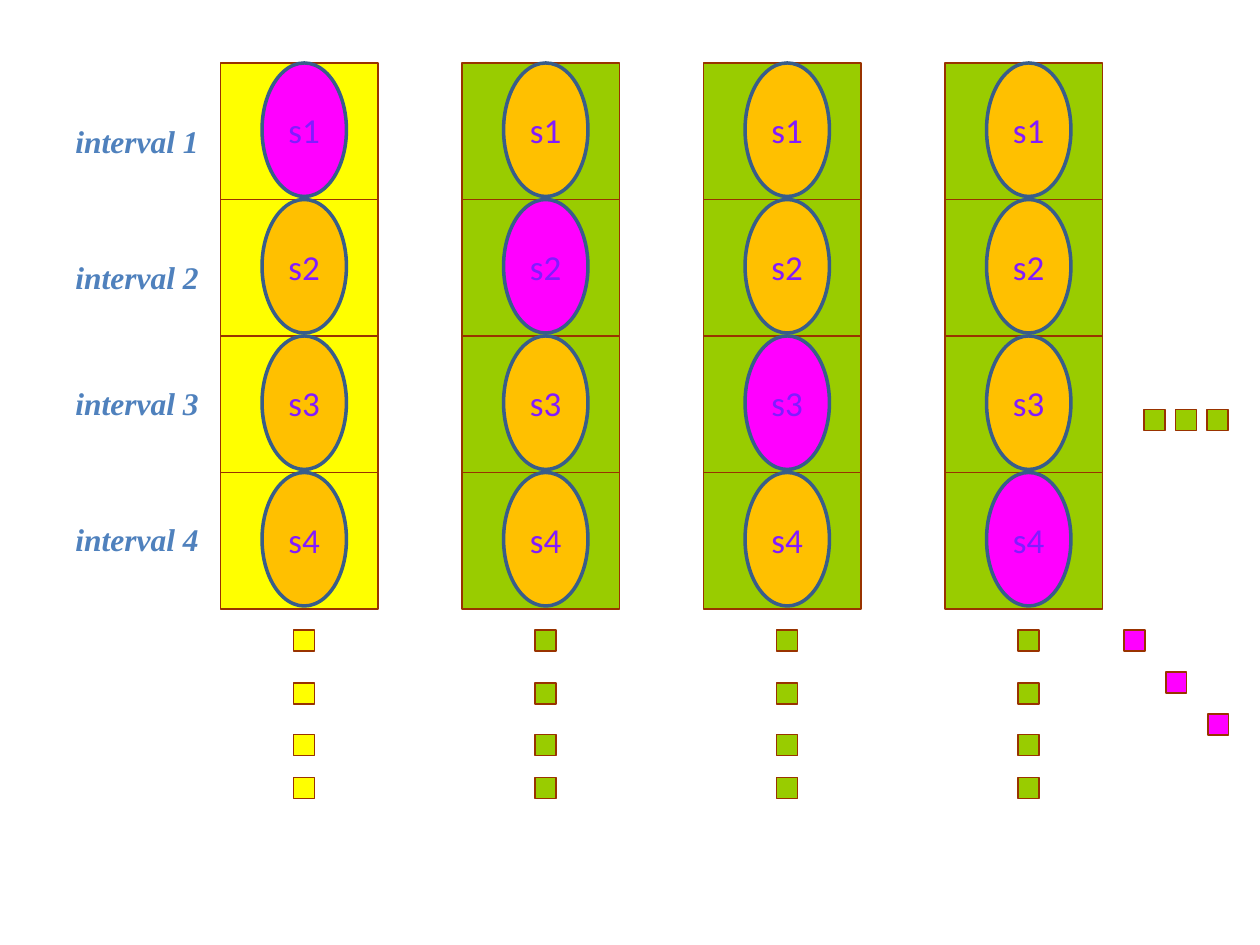
from dataclasses import dataclass

from pptx import Presentation
from pptx.dml.color import RGBColor
from pptx.enum import shapes, text
from pptx.shapes.autoshape import Shape
from pptx.slide import Slide
from pptx.util import Inches, Pt


@dataclass(frozen=True)
class Theme:
    first_column: str = "FFFF00"
    other_column: str = "99CC00"
    sample: str = "FFC000"
    chosen: str = "FF00FF"
    box_line: str = "993300"
    oval_line: str = "385D8A"
    sample_text: str = "821BFF"
    label_text: str = "4F81BD"
    sample_font: str = "Calibri"
    label_font: str = "Times New Roman"
    sample_size: int = 20
    label_size: int = 18


@dataclass(frozen=True)
class Area:
    left: float
    top: float
    width: float
    height: float


THEME = Theme()
COUNT = 4
GRID_LEFT, GRID_TOP = 1.75, 0.5
COLUMN_PITCH, ROW_PITCH = 23 / 12, 13 / 12
CELL_WIDTH = 1.25
OVAL_INSET, OVAL_WIDTH, OVAL_HEIGHT = 0.33, 0.67, 1.06
DOT_SIZE = 1 / 6
DOT_INSET = 0.58
DOT_TOPS = (5, 5.42, 5.83, 6.17)
LABEL_TOPS = (0.92, 2, 3, 4.08)


def add_figure(page: Slide, kind: shapes.MSO_SHAPE, area: Area, fill: str,
               line: str = THEME.box_line, weight: float = 0.75) -> Shape:
    figure = page.shapes.add_shape(
        kind, Inches(area.left), Inches(area.top), Inches(area.width), Inches(area.height)
    )
    figure.shadow.inherit = False
    figure.fill.solid()
    figure.fill.fore_color.rgb = RGBColor.from_string(fill)
    figure.line.color.rgb = RGBColor.from_string(line)
    figure.line.width = Pt(weight)
    return figure


def add_dot(page: Slide, left: float, top: float, fill: str) -> None:
    add_figure(page, shapes.MSO_SHAPE.RECTANGLE, Area(left, top, DOT_SIZE, DOT_SIZE), fill)


def add_sample(page: Slide, area: Area, words: str, fill: str) -> None:
    oval = add_figure(page, shapes.MSO_SHAPE.OVAL, area, fill, THEME.oval_line, 2)
    frame = oval.text_frame
    frame.word_wrap = False
    frame.vertical_anchor = text.MSO_ANCHOR.MIDDLE
    para = frame.paragraphs[0]
    para.alignment = text.PP_ALIGN.CENTER
    span = para.add_run()
    span.text = words
    span.font.name = THEME.sample_font
    span.font.size = Pt(THEME.sample_size)
    span.font.color.rgb = RGBColor.from_string(THEME.sample_text)


def add_label(page: Slide, top: float, words: str) -> None:
    box = page.shapes.add_textbox(Inches(0.5), Inches(top), Inches(1.25), Inches(0.4))
    frame = box.text_frame
    frame.word_wrap = True
    frame.auto_size = text.MSO_AUTO_SIZE.SHAPE_TO_FIT_TEXT
    para = frame.paragraphs[0]
    para.space_before = Pt(11.2)
    span = para.add_run()
    span.text = words
    span.font.name = THEME.label_font
    span.font.size = Pt(THEME.label_size)
    span.font.bold = True
    span.font.italic = True
    span.font.color.rgb = RGBColor.from_string(THEME.label_text)


def add_column(page: Slide, column: int) -> None:
    left = GRID_LEFT + column * COLUMN_PITCH
    fill = THEME.first_column if column == 0 else THEME.other_column
    for row in range(COUNT):
        top = GRID_TOP + row * ROW_PITCH
        cell = Area(left, top, CELL_WIDTH, ROW_PITCH)
        add_figure(page, shapes.MSO_SHAPE.RECTANGLE, cell, fill)
        oval = Area(left + OVAL_INSET, top, OVAL_WIDTH, OVAL_HEIGHT)
        add_sample(page, oval, f"s{row + 1}", THEME.chosen if row == column else THEME.sample)
    for top in DOT_TOPS:
        add_dot(page, left + DOT_INSET, top, fill)


def main() -> None:
    deck = Presentation()
    deck.slide_width, deck.slide_height = Inches(10), Inches(7.5)
    page = deck.slides.add_slide(deck.slide_layouts[6])
    for number, top in enumerate(LABEL_TOPS, start=1):
        add_label(page, top, f"interval {number}")
    for column in range(COUNT):
        add_column(page, column)
    for step in range(3):
        add_dot(page, 9.08 + step * 0.25, 3.25, THEME.other_column)
        add_dot(page, 8.92 + step / 3, 5 + step / 3, THEME.chosen)
    deck.save("out.pptx")


if __name__ == "__main__":
    main()
